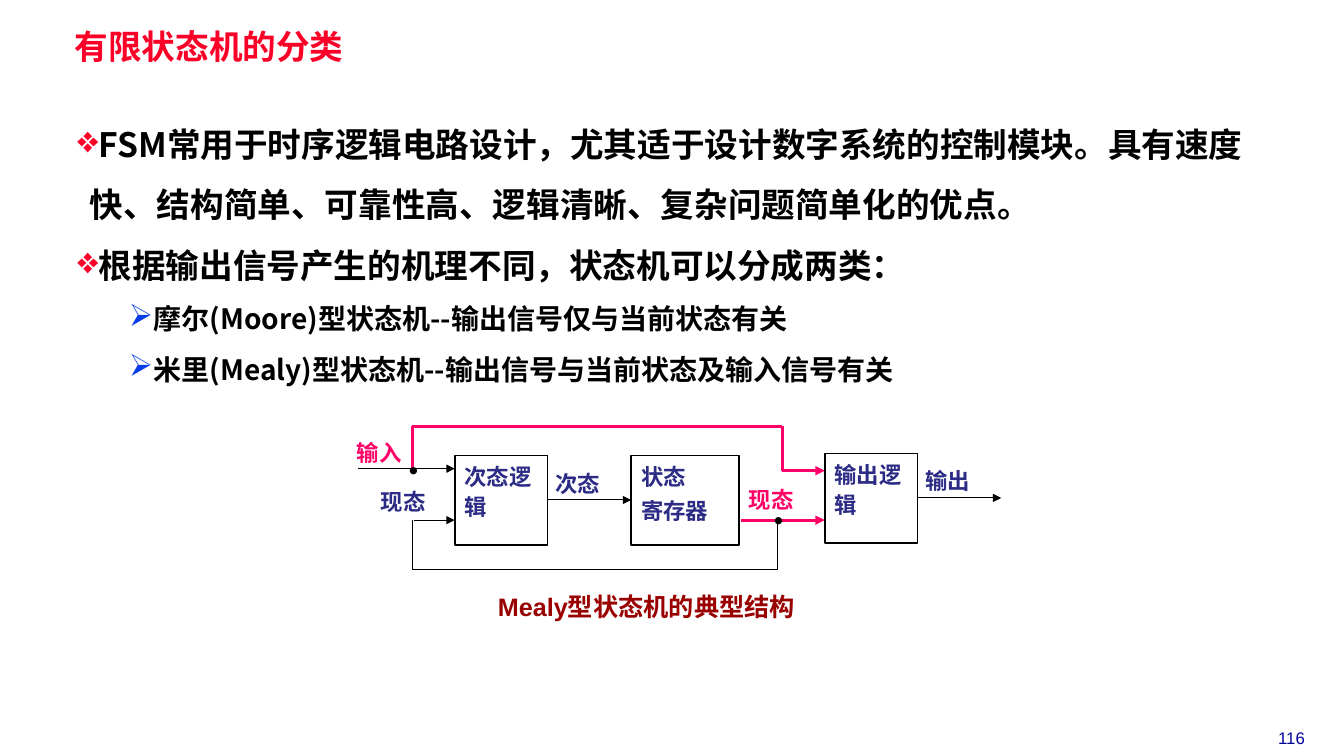
from dataclasses import dataclass

import pptx
import pptx.dml.color
import pptx.enum.shapes
import pptx.enum.text
import pptx.util
from lxml import etree
from pptx.oxml.ns import qn

Inches = pptx.util.Inches
Pt = pptx.util.Pt
RGBColor = pptx.dml.color.RGBColor
Align = pptx.enum.text.PP_ALIGN

BLACK = RGBColor(0x00, 0x00, 0x00)
WHITE = RGBColor(0xFF, 0xFF, 0xFF)
RED = RGBColor(0xFC, 0x01, 0x28)
BLUE = RGBColor(0x06, 0x3D, 0xE8)
NAVY = RGBColor(0x2C, 0x2C, 0x86)
PINK = RGBColor(0xFF, 0x00, 0x66)
MAROON = RGBColor(0x99, 0x00, 0x00)
PAGE_BLUE = RGBColor(0x00, 0x00, 0x99)
CJK_FONT = "Noto Sans CJK SC"


@dataclass
class Label:
    text: str
    left: float
    top: float
    width: float = 0.87
    height: float = 0.46
    size: int = 16
    color: RGBColor = NAVY
    font: str = "Arial"
    bold: bool = True
    spacing: float = 1.1
    align: Align = Align.LEFT
    insets: tuple[float, float] = (0.1, 0.05)


@dataclass
class Block:
    lines: list[str]
    left: float
    top: float
    width: float


@dataclass
class Wire:
    points: list[tuple[float, float]]
    color: RGBColor = BLACK
    weight: float = 0.75
    arrow: bool = True


@dataclass
class Bullet:
    text: str
    level: int = 0


BULLET_STYLES = [("❖", RED, 24, 0.12), ("➢", BLUE, 20, 0.71)]
BULLETS = [
    Bullet("FSM常用于时序逻辑电路设计，尤其适于设计数字系统的控制模块。"
           "具有速度快、结构简单、可靠性高、逻辑清晰、复杂问题简单化的优点。"),
    Bullet("根据输出信号产生的机理不同，状态机可以分成两类："),
    Bullet("摩尔(Moore)型状态机--输出信号仅与当前状态有关", 1),
    Bullet("米里(Mealy)型状态机--输出信号与当前状态及输入信号有关", 1),
]
PAGE_LABELS = [
    Label("116", 12.34, 7.17, 0.94, 0.3, 12, PAGE_BLUE, bold=False, spacing=1, align=Align.CENTER),
    Label("有限状态机的分类", 0.67, 0.28, 5.75, 0.41, 24, RED, CJK_FONT,
          spacing=0.87, insets=(0.07, 0.03)),
]
DIAGRAM_LABELS = [
    Label("输出", 9.08, 4.56),
    Label("现态", 7.33, 4.75, color=PINK),
    Label("次态", 5.41, 4.59),
    Label("现态", 3.68, 4.77),
    Label("输入", 3.44, 4.28, color=PINK),
    Label("Mealy型状态机的典型结构", 4.84, 5.79, 3.65, 0.4, 18, MAROON),
    Label("•", 3.96, 4.43, 0.65, 0.43, 18, BLACK),
    Label("•", 7.58, 4.92, 0.65, 0.43, 18, BLACK),
]
BLOCKS = [
    Block(["次态逻辑"], 4.51, 4.52, 0.92),
    Block(["状态", "寄存器"], 6.26, 4.52, 1.07),
    Block(["输出逻辑"], 8.18, 4.5, 0.92),
]
WIRES = [
    Wire([(3.55, 4.65), (4.51, 4.65)]),
    Wire([(4.11, 5.16), (4.51, 5.16)]),
    Wire([(5.43, 4.96), (6.26, 4.96)]),
    Wire([(7.35, 5.16), (8.18, 5.16)], PINK, 2.25),
    Wire([(9.1, 4.94), (9.93, 4.94)]),
    Wire([(4.09, 5.16), (4.09, 5.65), (7.71, 5.65), (7.71, 5.14)], arrow=False),
    Wire([(4.09, 4.65), (4.09, 4.23), (7.76, 4.23), (7.76, 4.67), (8.18, 4.67)], PINK, 2.25),
]


def style_paragraph(paragraph, text: str, size: int, color: RGBColor, font: str,
                    spacing: float, bold: bool = True, align: Align = Align.LEFT) -> None:
    paragraph.text = text
    paragraph.alignment = align
    paragraph.line_spacing = spacing
    paragraph.font.size = Pt(size)
    paragraph.font.name = font
    paragraph.font.bold = bold
    paragraph.font.color.rgb = color


def add_label(shapes, label: Label) -> None:
    shape = shapes.add_textbox(Inches(label.left), Inches(label.top),
                               Inches(label.width), Inches(label.height))
    frame = shape.text_frame
    frame.word_wrap = True
    horizontal, vertical = label.insets
    frame.margin_left = frame.margin_right = Inches(horizontal)
    frame.margin_top = frame.margin_bottom = Inches(vertical)
    style_paragraph(frame.paragraphs[0], label.text, label.size, label.color, label.font,
                    label.spacing, label.bold, label.align)


def add_rectangle(shapes, left: float, top: float, width: float, height: float):
    shape = shapes.add_shape(pptx.enum.shapes.MSO_SHAPE.RECTANGLE, Inches(left), Inches(top),
                             Inches(width), Inches(height))
    shape.shadow.inherit = False
    shape.text_frame.word_wrap = True
    shape.text_frame.vertical_anchor = pptx.enum.text.MSO_ANCHOR.TOP
    return shape


def add_block(shapes, block: Block) -> None:
    shape = add_rectangle(shapes, block.left, block.top, block.width, 0.89)
    shape.fill.background()
    shape.line.color.rgb = BLACK
    shape.line.width = Pt(1.25)
    frame = shape.text_frame
    for index, line in enumerate(block.lines):
        paragraph = frame.add_paragraph() if index else frame.paragraphs[0]
        if index:
            paragraph.space_before = Pt(3.2)
        style_paragraph(paragraph, line, 16, NAVY, "Arial", 1.1)


def add_wire(shapes, wire: Wire) -> None:
    segments = list(zip(wire.points, wire.points[1:]))
    for index, (start, end) in enumerate(segments, 1):
        connector = shapes.add_connector(pptx.enum.shapes.MSO_CONNECTOR.STRAIGHT,
                                         *map(Inches, start + end))
        connector.line.color.rgb = wire.color
        connector.line.width = Pt(wire.weight)
        if wire.arrow and index == len(segments):
            etree.SubElement(connector.line._get_or_add_ln(), qn("a:tailEnd"), type="triangle")
        etree.SubElement(connector._element.spPr, qn("a:effectLst"))


def add_bullets(shapes, bullets: list[Bullet]) -> None:
    shape = add_rectangle(shapes, 0.67, 0.98, 11.82, 2.85)
    shape.fill.solid()
    shape.fill.fore_color.rgb = WHITE
    shape.line.fill.background()
    frame = shape.text_frame
    for index, bullet in enumerate(bullets):
        paragraph = frame.add_paragraph() if index else frame.paragraphs[0]
        symbol, color, size, indent = BULLET_STYLES[bullet.level]
        paragraph.level = bullet.level
        paragraph.line_spacing = 1.5
        properties = paragraph._p.get_or_add_pPr()
        properties.set("marL", str(Inches(indent)))
        properties.set("indent", str(Inches(-0.2)))
        bullet_color = etree.SubElement(properties, qn("a:buClr"))
        etree.SubElement(bullet_color, qn("a:srgbClr"), val=str(color))
        etree.SubElement(properties, qn("a:buSzPct"), val="110000")
        etree.SubElement(properties, qn("a:buChar"), char=symbol)
        style_paragraph(paragraph, bullet.text, size, BLACK, CJK_FONT, 1.5)


def main() -> None:
    presentation = pptx.Presentation()
    presentation.slide_width = Inches(13.33)
    presentation.slide_height = Inches(7.5)
    slide = presentation.slides.add_slide(presentation.slide_layouts[6])

    # Bulleted text, title and page number
    add_bullets(slide.shapes, BULLETS)
    for label in PAGE_LABELS:
        add_label(slide.shapes, label)

    # Mealy machine diagram
    diagram = slide.shapes.add_group_shape().shapes
    for block in BLOCKS:
        add_block(diagram, block)
    for wire in WIRES:
        add_wire(diagram, wire)
    for label in DIAGRAM_LABELS:
        add_label(diagram, label)

    presentation.save("out.pptx")


if __name__ == "__main__":
    main()
